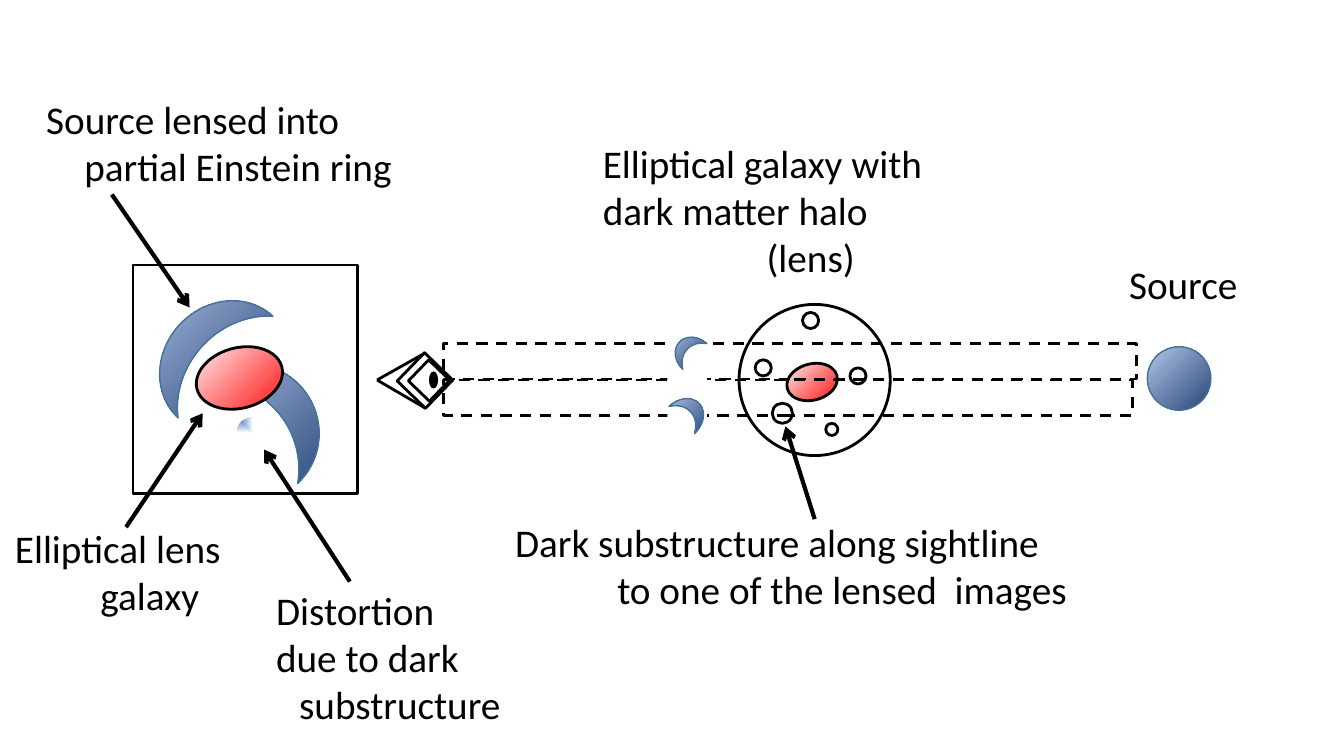
from dataclasses import dataclass
from typing import Any, NamedTuple

from pptx import Presentation
from pptx.dml.color import RGBColor
from pptx.enum.dml import MSO_LINE
from pptx.enum.shapes import MSO_CONNECTOR, MSO_SHAPE
from pptx.enum.text import MSO_ANCHOR, PP_ALIGN
from pptx.oxml import parse_xml
from pptx.oxml.ns import nsdecls, qn
from pptx.oxml.xmlchemy import OxmlElement
from pptx.util import Inches, Pt


class Blend(NamedTuple):
    start: str
    end: str
    form: str = "circle"


class Pen(NamedTuple):
    color: str
    width: float


@dataclass(frozen=True)
class Theme:
    font: str = "Calibri"
    size: float = 28
    ink: str = "000000"
    paper: str = "FFFFFF"
    blue: Blend = Blend("B4C7E7", "264478")
    red: Blend = Blend("FFFFFF", "FF0000")
    spot: Blend = Blend("3B69BC", "FFFFFF", "rect")
    thin: Pen = Pen("000000", 0.75)
    pen: Pen = Pen("000000", 2)
    bold: Pen = Pen("000000", 3)
    rim: Pen = Pen("43729D", 1)


THEME = Theme()
OVAL, RECT, MOON = MSO_SHAPE.OVAL, MSO_SHAPE.RECTANGLE, MSO_SHAPE.MOON


class Part(NamedTuple):
    kind: MSO_SHAPE
    box: tuple[float, float, float, float]
    fill: str | Blend | None = None
    pen: Pen | None = THEME.pen
    turn: float = 0
    flip: bool = False
    dash: bool = False


class Line(NamedTuple):
    start: tuple[float, float]
    end: tuple[float, float]
    pen: Pen = THEME.bold
    arrow: bool = True


class Label(NamedTuple):
    lines: tuple[str, ...]
    box: tuple[float, float, float, float]


def apply(target: Any, values: dict[str, Any]) -> None:
    for name, value in values.items():
        setattr(target, name, value)


def ink(line: Any, pen: Pen) -> None:
    line.color.rgb = RGBColor.from_string(pen.color)
    line.width = Pt(pen.width)


def shade(shape: Any, blend: Blend) -> None:
    """Fill with a gradient that spreads from the top left corner."""
    stops = "".join(
        f'<a:gs pos="{pos}"><a:srgbClr val="{color}"/></a:gs>'
        for pos, color in ((0, blend.start), (100000, blend.end)))
    shape.fill.background()
    blank = shape._element.spPr.find(qn("a:noFill"))
    blank.getparent().replace(blank, parse_xml(
        f'<a:gradFill {nsdecls("a")} rotWithShape="1"><a:gsLst>{stops}</a:gsLst>'
        f'<a:path path="{blend.form}"><a:fillToRect r="100000" b="100000"/></a:path>'
        "</a:gradFill>"))


def draw_part(slide: Any, part: Part) -> None:
    shape = slide.shapes.add_shape(part.kind, *map(Inches, part.box))
    shape.shadow.inherit = False
    shape.rotation = part.turn
    if part.flip:
        shape._element.spPr.xfrm.set("flipH", "1")
    if isinstance(part.fill, Blend):
        shade(shape, part.fill)
    elif part.fill:
        shape.fill.solid()
        shape.fill.fore_color.rgb = RGBColor.from_string(part.fill)
    else:
        shape.fill.background()
    if part.pen:
        ink(shape.line, part.pen)
    else:
        shape.line.fill.background()
    if part.dash:
        shape.line.dash_style = MSO_LINE.DASH


def draw_line(slide: Any, item: Line) -> None:
    line = slide.shapes.add_connector(
        MSO_CONNECTOR.STRAIGHT, *map(Inches, item.start + item.end))
    ink(line.line, item.pen)
    if item.arrow:
        tip = OxmlElement("a:tailEnd")
        tip.set("type", "arrow")
        line.line._get_or_add_ln().append(tip)
    line._element.spPr.append(OxmlElement("a:effectLst"))


def draw_label(slide: Any, label: Label) -> None:
    frame = slide.shapes.add_textbox(*map(Inches, label.box)).text_frame
    apply(frame, {"word_wrap": True, "vertical_anchor": MSO_ANCHOR.TOP})
    frame.text = "\n".join(label.lines)
    for para in frame.paragraphs:
        para.alignment = PP_ALIGN.LEFT
        apply(para.font, {"name": THEME.font, "size": Pt(THEME.size)})
        para.font.color.rgb = RGBColor.from_string(THEME.ink)
    # Only the last line is centred
    frame.paragraphs[-1].alignment = PP_ALIGN.CENTER


# Observer's eye
LIDS = [Line((4.22, y), (3.74, 3.77), THEME.pen, False) for y in (4.05, 3.5)]
EYE = [
    Part(RECT, (4.02, 3.58, 0.39, 0.39), turn=44),
    Part(RECT, (4.11, 3.63, 0.29, 0.29), turn=44),
    Part(OVAL, (4.26, 3.69, 0.08, 0.16), THEME.ink, THEME.thin),
]

# Lens galaxy, halo and sightlines
LENS = [
    Part(OVAL, (7.33, 3.02, 1.5, 1.5)),
    Part(OVAL, (7.8, 3.61, 0.51, 0.36), THEME.red, turn=345.3),
    Part(RECT, (4.4, 3.77, 6.83, 0.35), dash=True),
    Part(RECT, (4.4, 3.41, 6.87, 0.35), dash=True),
    Part(RECT, (6.62, 2.78, 0.39, 2.05), THEME.paper, None),
]
CLUMPS = [
    Part(OVAL, (x, y, size, size))
    for x, y, size in ((7.66, 4, 0.2), (7.49, 3.57, 0.16), (8.43, 3.65, 0.16),
                       (7.96, 3.1, 0.16), (8.19, 4.2, 0.12))
]

# Source, lensed arcs and observed view
FRAME = [
    Part(RECT, (1.32, 2.63, 2.23, 2.27)),
    Part(OVAL, (11.38, 3.44, 0.63, 0.63), THEME.blue, THEME.rim),
]
ARCS = [
    Part(MOON, box, THEME.blue, THEME.rim, 317 if flip else 43, flip)
    for box, flip in (((1.7, 2.74, 0.62, 1.38), False),
                      ((6.71, 3.29, 0.21, 0.35), False),
                      ((6.73, 3.9, 0.24, 0.37), True),
                      ((2.39, 3.37, 0.68, 1.38), True))
]
VIEW = [
    Part(OVAL, (1.94, 3.45, 0.87, 0.6), THEME.red, turn=345.3),
    Part(OVAL, (2.35, 4.14, 0.32, 0.31), THEME.spot, None),
]

# Labels and their arrows
LABELS = [
    Label(("Elliptical galaxy with", "dark matter halo", "(lens)"),
          (5.88, 1.33, 4.32, 1.5)),
    Label(("Source",), (10.97, 2.53, 1.53, 0.57)),
    Label(("Dark substructure along sightline", "to one of the lensed  images"),
          (5.01, 5.09, 6.68, 1.03)),
    Label(("Elliptical lens", "galaxy"), (0.05, 5.15, 2.87, 1.03)),
    Label(("Source lensed into", "partial Einstein ring"), (0.36, 0.9, 4, 1.03)),
    Label(("Distortion", "due to dark", "substructure"), (2.64, 5.77, 2.65, 1.5)),
]
ARROWS = [
    Line((8.08, 5.15), (7.79, 4.23)),
    Line((1.25, 5.23), (2.01, 4.1)),
    Line((1.11, 1.93), (1.88, 3.05)),
    Line((3.47, 5.77), (2.62, 4.46)),
]

deck = Presentation()
apply(deck, {"slide_width": Inches(13.33), "slide_height": Inches(7.5)})
slide = deck.slides.add_slide(deck.slide_layouts[6])
for lid in LIDS:
    draw_line(slide, lid)
for part in EYE + LENS + CLUMPS + FRAME + ARCS + VIEW:
    draw_part(slide, part)
for label in LABELS:
    draw_label(slide, label)
for arrow in ARROWS:
    draw_line(slide, arrow)
deck.save("out.pptx")
